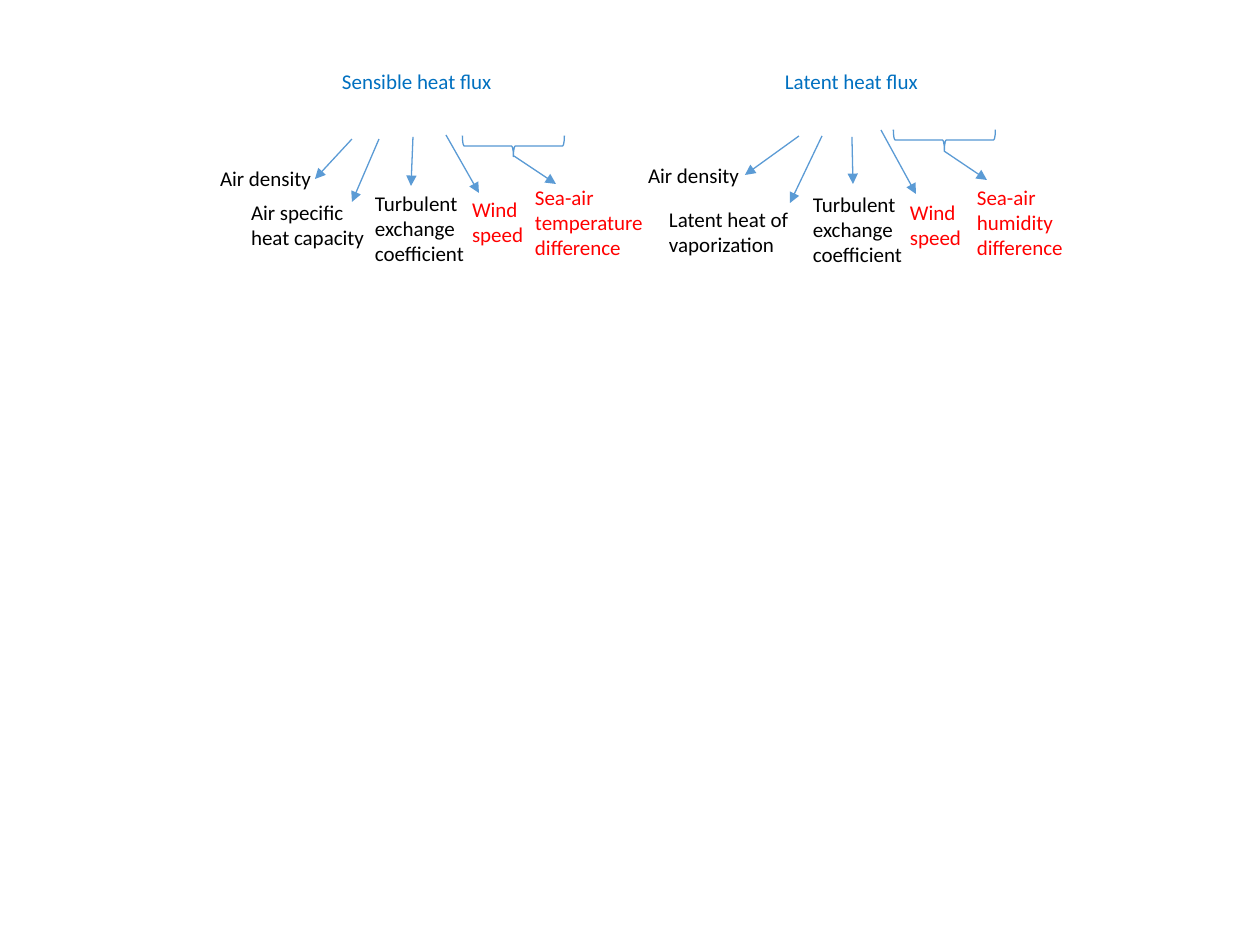
from lxml.etree import SubElement
from pptx import Presentation
from pptx.dml.color import RGBColor
from pptx.enum.shapes import MSO_CONNECTOR, MSO_SHAPE
from pptx.oxml.ns import qn
from pptx.util import Emu, Pt

SCALE = 914400 // 126
COLORS = {"title": "0070C0", "fixed": "000000", "driver": "FF0000",
          "arrow": "5B9BD5", "brace": "5698D3"}
FONT = {"name": "Calibri", "size": Pt(12)}
PAD, TIGHT = 13, 0

FLUXES = [
    {
        "labels": [
            ("Sensible heat flux", "title", (329, 62, 210, 38), PAD),
            ("Air density", "fixed", (207, 159, 118, 38), PAD),
            ("Air specific heat capacity", "fixed", (238, 193, 156, 55), PAD),
            ("Turbulent exchange coefficient", "fixed", (362, 184, 120, 77), PAD),
            ("Wind \nspeed", "driver", (459, 190, 79, 55), PAD),
            ("Sea-air temperature difference", "driver", (522, 178, 139, 77), PAD),
        ],
        "arrows": [
            (352, 139, 315, 179), (379, 139, 352, 202), (413, 137, 411, 186),
            (446, 135, 479, 193), (514, 156, 556, 184),
        ],
        "brace": (503, 95),
    },
    {
        "labels": [
            ("Latent heat flux", "title", (772, 62, 210, 38), PAD),
            ("Air density", "fixed", (648, 156, 97, 38), TIGHT),
            ("Latent heat of vaporization", "fixed", (656, 200, 146, 55), PAD),
            ("Turbulent exchange coefficient", "fixed", (800, 185, 120, 77), PAD),
            ("Wind \nspeed", "driver", (897, 193, 86, 55), PAD),
            ("Sea-air humidity difference", "driver", (964, 178, 115, 77), PAD),
        ],
        "arrows": [
            (799, 136, 745, 175), (822, 136, 790, 203), (852, 137, 853, 184),
            (881, 130, 916, 194), (944, 151, 987, 180),
        ],
        "brace": (934, 89),
    },
]
BRACE = (21, 102)


def px(*values):
    return [Emu(value * SCALE) for value in values]


def paint(line, color):
    line.color.rgb = RGBColor.from_string(COLORS[color])
    line.width = Pt(0.75)


def label(text, color, area, pad):
    frame = shapes.add_textbox(*px(*area)).text_frame
    frame.word_wrap = True
    frame.margin_left, frame.margin_right = px(pad, pad)
    frame.text = text
    for para in frame.paragraphs:
        font = para.runs[0].font
        for key, value in FONT.items():
            setattr(font, key, value)
        font.color.rgb = RGBColor.from_string(COLORS[color])


def arrow(ends):
    link = shapes.add_connector(MSO_CONNECTOR.STRAIGHT, *px(*ends))
    paint(link.line, "arrow")
    SubElement(link.line._get_or_add_ln(), qn("a:tailEnd"), type="triangle")
    SubElement(link._element.spPr, qn("a:effectLst"))


def brace(spot):
    shape = shapes.add_shape(MSO_SHAPE.LEFT_BRACE, *px(*spot, *BRACE))
    shape.rotation = 90
    shape._element.spPr.find(qn("a:xfrm")).set("flipH", "1")
    shape.shadow.inherit = False
    shape.fill.background()
    paint(shape.line, "brace")


deck = Presentation()
deck.slide_width, deck.slide_height = px(1260, 945)
shapes = deck.slides.add_slide(deck.slide_layouts[6]).shapes

for flux in FLUXES:
    for ends in flux["arrows"]:
        arrow(ends)
    for item in flux["labels"]:
        label(*item)
    brace(flux["brace"])

deck.save("out.pptx")
